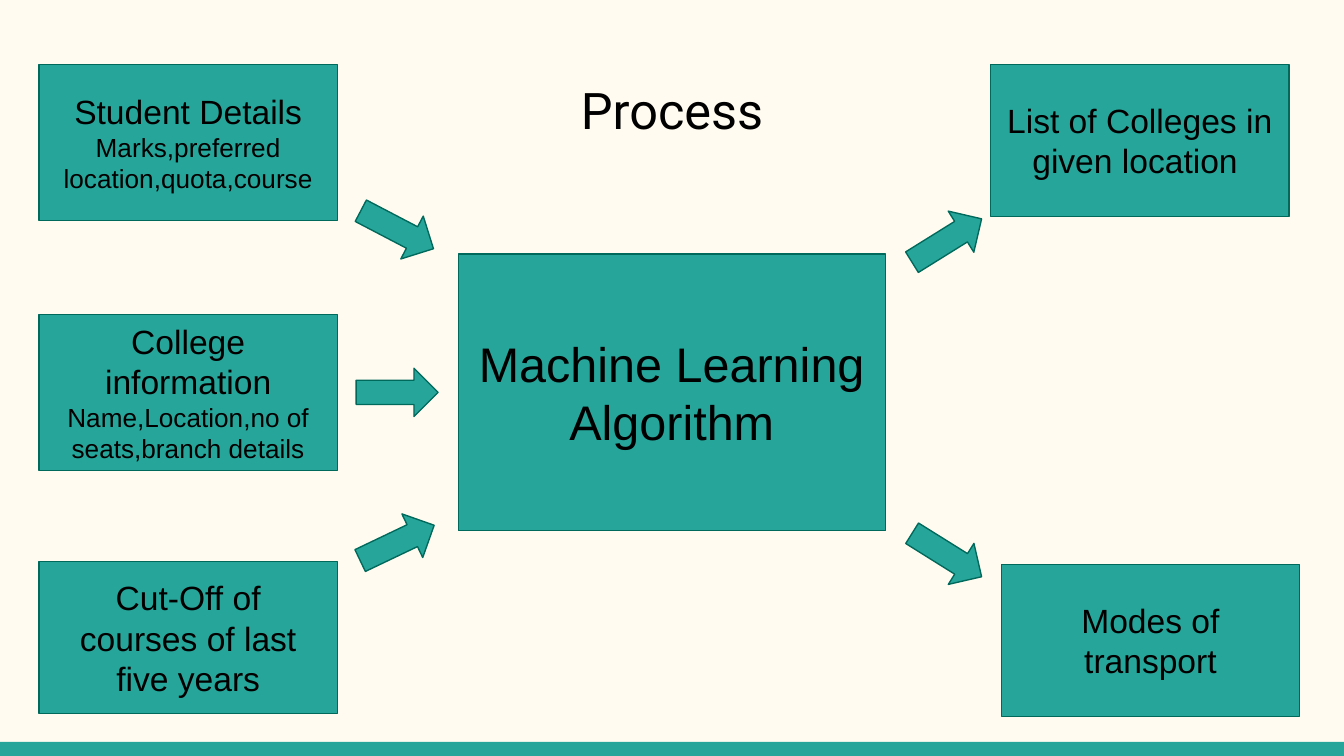
"""Build the process slide: inputs, a learning algorithm and its outputs."""
from pptx import Presentation
from pptx.dml.color import RGBColor
from pptx.enum import shapes, text
from pptx.util import Inches, Pt

HUES = {"back": "FFFBF0", "teal": "26A69A", "edge": "00695C", "ink": "000000"}
RECT = shapes.MSO_SHAPE.RECTANGLE
ARROW = shapes.MSO_SHAPE.RIGHT_ARROW


def add_shape(kind, left, top, width, height, edge=True):
    shape = slide.shapes.add_shape(
        kind, Inches(left), Inches(top), Inches(width), Inches(height))
    shape.shadow.inherit = False
    shape.fill.solid()
    shape.fill.fore_color.rgb = RGBColor.from_string(HUES["teal"])
    if edge:
        shape.line.color.rgb = RGBColor.from_string(HUES["edge"])
        shape.line.width = Pt(0.75)
    else:
        shape.line.fill.background()
    return shape


def set_text(shape, lines, face="Arial", anchor=text.MSO_ANCHOR.MIDDLE):
    frame = shape.text_frame
    frame.word_wrap = True
    frame.vertical_anchor = anchor
    frame.margin_left = frame.margin_right = Inches(0.1)
    frame.margin_top = frame.margin_bottom = Inches(0.1)
    frame.text = "\n".join(words for words, size in lines)
    for para, (words, size) in zip(frame.paragraphs, lines):
        para.alignment = text.PP_ALIGN.CENTER
        para.font.name = face
        para.font.size = Pt(size)
        para.font.color.rgb = RGBColor.from_string(HUES["ink"])


deck = Presentation()
deck.slide_width = Inches(10)
deck.slide_height = Inches(10 * 9 / 16)
slide = deck.slides.add_slide(deck.slide_layouts[6])
slide.background.fill.solid()
slide.background.fill.fore_color.rgb = RGBColor.from_string(HUES["back"])

add_shape(RECT, 0, 5.52, 10, 0.11, edge=False)

title = slide.shapes.add_textbox(
    Inches(0.34), Inches(0.49), Inches(9.32), Inches(0.67))
set_text(title, [("Process", 27)], "Roboto", text.MSO_ANCHOR.TOP)

boxes = [
    (0.29, 2.34, 2.22, 1.16, [("College information", 18),
                              ("Name,Location,no of seats,branch details", 14)]),
    (0.29, 4.18, 2.22, 1.13, [("Cut-Off of courses of last five years", 18)]),
    (3.41, 1.89, 3.18, 2.06, [("Machine Learning Algorithm", 26)]),
    (0.29, 0.48, 2.22, 1.16, [("Student Details", 18),
                              ("Marks,preferred location,quota,course", 14)]),
    (7.45, 4.2, 2.22, 1.13, [("Modes of transport", 18)]),
    (7.37, 0.48, 2.22, 1.13, [("List of Colleges in given location ", 18)]),
]
for left, top, width, height, lines in boxes:
    set_text(add_shape(RECT, left, top, width, height), lines)

arrows = [
    (2.65, 3.86, 334.5), (2.65, 1.53, 27.6), (2.65, 2.74, 0),
    (6.74, 3.95, 32), (6.74, 1.61, 328.1),
]
for left, top, turn in arrows:
    arrow = add_shape(ARROW, left, top, 0.61, 0.36)
    arrow.rotation = turn

deck.save("out.pptx")
